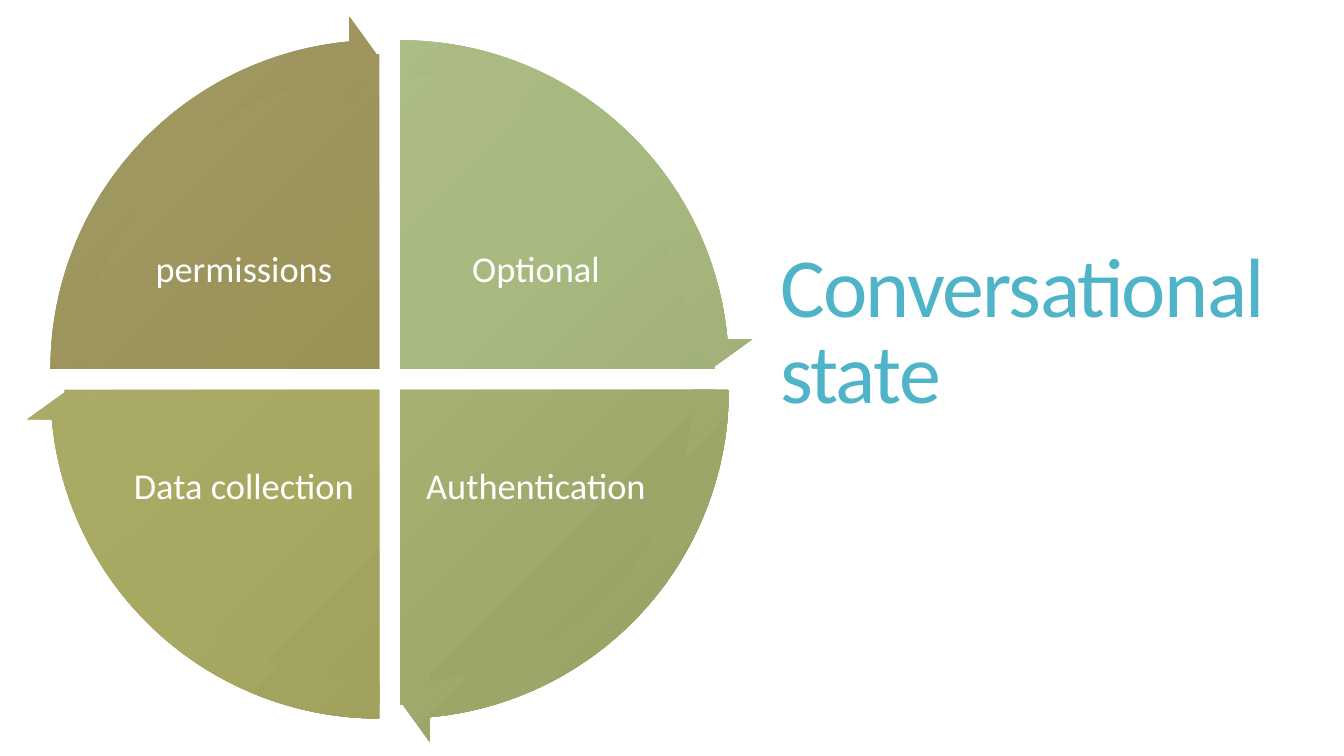
from copy import deepcopy

from pptx import Presentation
from pptx import util as u
from pptx.dml import color
from pptx.enum import shapes, text

DISC, GAP, RIM = 15.85, 0.53, 0.98
LEFT, TOP = 1.63, 1.37
TURN, QUARTER = 216, 54
PARTS = [
    ("Optional", ("AEBE89", "A8B97F", "97A772")),
    ("Authentication", ("ADB67C", "A7B070", "969F64")),
    ("Data collection", ("ADAD6E", "A7A861", "969757")),
    ("permissions", ("A19965", "9B9256", "8B834D")),
]


def rgb(code):
    return color.RGBColor.from_string(code)


def place(item, x, y, w, h):
    item.left, item.top = u.Cm(x), u.Cm(y)
    item.width, item.height = u.Cm(w), u.Cm(h)


def style(frame, words, size, code, align, space):
    frame.text = words
    frame.word_wrap = True
    frame.auto_size = text.MSO_AUTO_SIZE.NONE
    frame.vertical_anchor = text.MSO_ANCHOR.MIDDLE
    para = frame.paragraphs[0]
    para.alignment = align
    para.line_spacing = space
    run = para.runs[0]
    run.font.name = "Calibri"
    run.font.size = u.Pt(size)
    run.font.color.rgb = rgb(code)
    return run


def shade(shape, codes):
    fill = shape.fill
    fill.gradient()
    fill.gradient_angle = 315
    first = shape._element.spPr.xpath(".//a:gs")[0]
    first.addnext(deepcopy(first))
    for i, (stop, code) in enumerate(zip(fill.gradient_stops, codes)):
        stop.position = i / 2
        stop.color.rgb = rgb(code)


def wheel(slide, kind, x, y, size, adjust, codes):
    shape = slide.shapes.add_shape(kind, u.Cm(x), u.Cm(y), u.Cm(size), u.Cm(size))
    for i, value in enumerate(adjust):
        shape.adjustments[i] = value
    shade(shape, codes)
    shape.line.fill.background()
    shape.shadow.inherit = False


def label(slide, words, x, y):
    box = slide.shapes.add_textbox(u.Cm(x), u.Cm(y), u.Cm(5.84), u.Cm(4.34))
    frame = box.text_frame
    frame.margin_left = frame.margin_right = u.Cm(0.1)
    frame.margin_top = frame.margin_bottom = u.Cm(0.1)
    style(frame, words, 26, "FFFFFF", text.PP_ALIGN.CENTER, 0.9)


def spot(i):
    right, low = i in (0, 1), i in (1, 2)
    return right, low, LEFT + GAP * right, TOP + GAP * low


def slices(slide):
    for i, (words, codes) in enumerate(PARTS):
        right, low, x, y = spot(i)
        start = (162 + QUARTER * i) % TURN
        ends = (start, (start + QUARTER) % TURN)
        wheel(slide, shapes.MSO_SHAPE.PIE, x, y, DISC, ends, codes)
        label(slide, words, 10.59 if right else 3.23, 10.13 if low else 4.65)


def arrows(slide):
    for i, (_, codes) in enumerate(PARTS):
        _, _, x, y = spot(i)
        start = (162 + QUARTER * i) % TURN
        adjust = (0.05, 3.28, start + 50.72, start, 0.06)
        wheel(slide, shapes.MSO_SHAPE.CIRCULAR_ARROW, x - RIM, y - RIM,
              DISC + 2 * RIM, adjust, codes)


def main():
    deck = Presentation()
    deck.slide_width, deck.slide_height = u.Cm(33.87), u.Cm(19.05)
    slide = deck.slides.add_slide(deck.slide_layouts[5])
    title = slide.shapes.title
    place(title, 19.41, 2.62, 12.9, 11.63)
    run = style(title.text_frame, "Conversational state", 60, "50B4C8",
                text.PP_ALIGN.LEFT, 0.85)
    run.font._element.set("spc", "-120")
    slices(slide)
    arrows(slide)
    deck.save("out.pptx")


if __name__ == "__main__":
    main()
